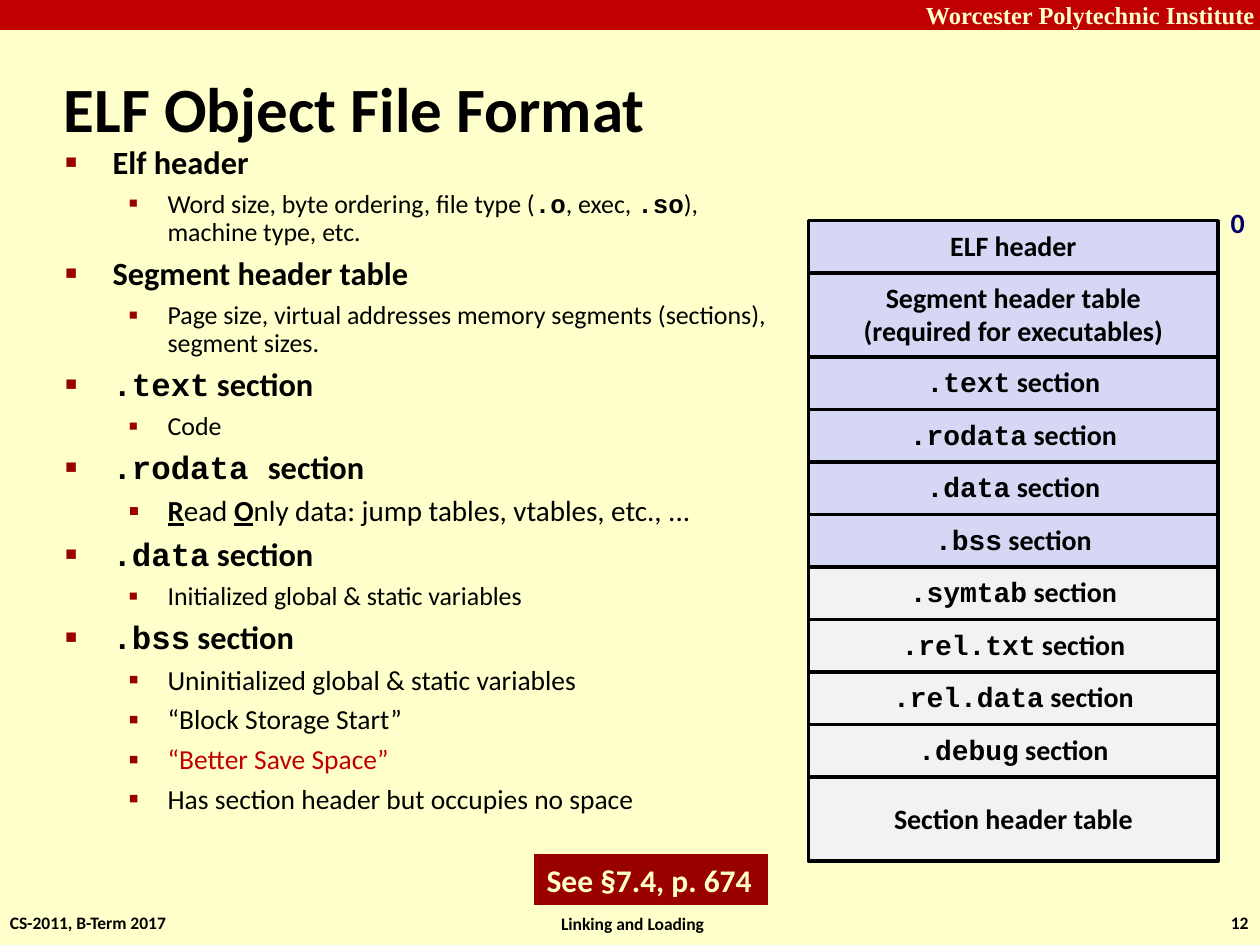
from dataclasses import dataclass

import lxml.etree
import pptx
import pptx.dml.color
import pptx.enum.shapes
import pptx.enum.text
import pptx.oxml.ns
import pptx.util

Cm = pptx.util.Cm
Pt = pptx.util.Pt
ALIGN = pptx.enum.text.PP_ALIGN
ANCHOR = pptx.enum.text.MSO_ANCHOR

COLORS = {
    "page": "FFFFCC",
    "banner": "C00000",
    "accent": "990000",
    "ink": "000000",
    "address": "000066",
    "loaded": "D6D6F5",
    "unloaded": "F2F2F2",
}
SANS, MONO, SERIF = "Calibri", "Courier New", "Times New Roman"


@dataclass(frozen=True)
class Span:
    words: str
    font: str = SANS
    bold: bool = False
    underline: bool = False


@dataclass(frozen=True)
class Point:
    spans: tuple[Span, ...]
    level: int = 1
    size: float = 14.8
    color: str = "ink"


@dataclass(frozen=True)
class Section:
    lines: tuple[tuple[Span, ...], ...]
    units: int
    fill: str
    spacing: float = 0.98


@dataclass(frozen=True)
class Label:
    words: str
    at: tuple[float, float, float, float]
    size: float
    color: str = "ink"
    font: str = SANS
    align: ALIGN = ALIGN.LEFT
    anchor: ANCHOR = ANCHOR.MIDDLE
    insets: tuple[float, float, float, float] = (0, 0, 0, 0)
    wrap: bool = False
    fill: str | None = None


def code_name(name: str, gap_font: str = SANS) -> tuple[Span, ...]:
    if gap_font == MONO:
        return Span(name + " ", MONO, True), Span("section", SANS, True)
    return Span(name, MONO, True), Span(" section", SANS, True)


def heading(*spans: Span) -> Point:
    return Point(spans, level=0, size=18.5)


def code_section(name: str, fill: str) -> Section:
    return Section((code_name(name),), 5, fill, 0.94)


LABELS = [
    Label("Worcester Polytechnic Institute", (0, 0, 25.4, 0.6), 14, "page", SERIF,
          ALIGN.RIGHT, insets=(0, 0, 0.1, 0), wrap=True, fill="banner"),
    Label("ELF Object File Format", (1.04, 1.07, 24.2, 2.18), 36,
          insets=(0.25, 0.13, 0.25, 0.13), wrap=True),
    Label("0", (24.56, 4.01, 0.8, 0.94), 16, "address",
          insets=(0.25, 0.13, 0.25, 0.13), anchor=ANCHOR.TOP),
    Label("CS-2011, B-Term 2017", (0.2, 18.39, 3.25, 0.43), 10),
    Label("Linking and Loading", (10.7, 18.39, 4, 0.43), 10, align=ALIGN.CENTER,
          anchor=ANCHOR.BOTTOM, insets=(0.1, 0, 0, 0)),
    Label("12", (24.74, 18.39, 0.43, 0.43), 10, align=ALIGN.RIGHT),
    Label("See §7.4, p. 674", (10.77, 17.22, 4.7, 1.02), 18, "page",
          insets=(0.25, 0.13, 0.25, 0.13), fill="accent"),
]

POINTS = [
    heading(Span("Elf header", bold=True)),
    Point((Span("Word size, byte ordering, file type ("), Span(".o", MONO, True),
           Span(", exec, "), Span(".so", MONO, True), Span("), machine type, etc."))),
    heading(Span("Segment header table", bold=True)),
    Point((Span("Page size, virtual addresses memory segments (sections), segment sizes."),)),
    heading(*code_name(".text")),
    Point((Span("Code"),)),
    heading(*code_name(".rodata", MONO)),
    Point((Span("R", bold=True, underline=True), Span("ead "),
           Span("O", bold=True, underline=True),
           Span("nly data: jump tables, vtables, etc., ...")), size=16.6),
    heading(*code_name(".data")),
    Point((Span("Initialized global & static variables"),)),
    heading(*code_name(".bss")),
    Point((Span("Uninitialized global & static variables"),), size=15.7),
    Point((Span("“Block Storage Start”"),), size=15.7),
    Point((Span("“Better Save Space”"),), size=15.7, color="banner"),
    Point((Span("Has section header but occupies no space"),), size=15.7),
]

SECTIONS = [
    Section(((Span("ELF header", bold=True),),), 5, "loaded"),
    Section(((Span("Segment header table", bold=True),),
             (Span("(required for executables)", bold=True),)), 8, "loaded"),
    *(code_section(name, "loaded") for name in (".text", ".rodata", ".data", ".bss")),
    *(code_section(name, "unloaded") for name in (".symtab", ".rel.txt", ".rel.data", ".debug")),
    Section(((Span("Section header table", bold=True),),), 8, "unloaded"),
]


def rgb(color: str) -> pptx.dml.color.RGBColor:
    return pptx.dml.color.RGBColor.from_string(COLORS[color])


def add_spans(paragraph, spans: tuple[Span, ...], size: float, color: str) -> None:
    for span in spans:
        run = paragraph.add_run()
        run.text = span.words
        run.font.name = span.font
        run.font.size = Pt(size)
        run.font.bold = span.bold
        run.font.underline = span.underline
        run.font.color.rgb = rgb(color)


def add_box(slide, at: tuple[float, float, float, float], fill: str,
            line: str, line_width: float):
    box = slide.shapes.add_shape(
        pptx.enum.shapes.MSO_SHAPE.RECTANGLE, *(Cm(length) for length in at))
    box.shadow.inherit = False
    box.fill.solid()
    box.fill.fore_color.rgb = rgb(fill)
    box.line.color.rgb = rgb(line)
    box.line.width = Pt(line_width)
    return box


def draw_label(slide, label: Label) -> None:
    if label.fill:
        holder = add_box(slide, label.at, label.fill, label.fill, 0.75)
    else:
        holder = slide.shapes.add_textbox(*(Cm(length) for length in label.at))
    frame = holder.text_frame
    frame.word_wrap = label.wrap
    frame.vertical_anchor = label.anchor
    (frame.margin_left, frame.margin_top,
     frame.margin_right, frame.margin_bottom) = (Cm(inset) for inset in label.insets)
    paragraph = frame.paragraphs[0]
    paragraph.alignment = label.align
    add_spans(paragraph, (Span(label.words, label.font, True),), label.size, label.color)


def add_bullet(paragraph, level: int) -> None:
    symbol, percent, margin, indent = (("■", 60, 0.95, -0.95), ("▪", 110, 2.06, -0.79))[level]
    properties = paragraph._p.get_or_add_pPr()
    properties.set("marL", str(Cm(margin)))
    properties.set("indent", str(Cm(indent)))
    qn = pptx.oxml.ns.qn
    bullet_color = lxml.etree.SubElement(properties, qn("a:buClr"))
    lxml.etree.SubElement(bullet_color, qn("a:srgbClr"), val=COLORS["accent"])
    lxml.etree.SubElement(properties, qn("a:buSzPct"), val=str(percent * 1000))
    lxml.etree.SubElement(properties, qn("a:buFont"), typeface=SERIF)
    lxml.etree.SubElement(properties, qn("a:buChar"), char=symbol)


def draw_outline(slide, points: list[Point]) -> None:
    frame = slide.shapes.add_textbox(Cm(1.07), Cm(2.82), Cm(14.86), Cm(14.96)).text_frame
    frame.word_wrap = True
    for index, point in enumerate(points):
        paragraph = frame.add_paragraph() if index else frame.paragraphs[0]
        paragraph.level = point.level
        add_bullet(paragraph, point.level)
        paragraph.line_spacing = 0.9
        paragraph.space_before = Pt((6, 5.6)[point.level] if index else 0)
        add_spans(paragraph, point.spans, point.size, point.color)


def draw_file_layout(slide, sections: list[Section]) -> None:
    top, total_height = 4.45, 12.91
    unit = total_height / sum(section.units for section in sections)
    for section in sections:
        height = section.units * unit
        box = add_box(slide, (16.3, top, 8.26, height), section.fill, "ink", 2)
        frame = box.text_frame
        frame.word_wrap = False
        frame.vertical_anchor = ANCHOR.MIDDLE
        for index, spans in enumerate(section.lines):
            paragraph = frame.add_paragraph() if index else frame.paragraphs[0]
            paragraph.alignment = ALIGN.CENTER
            paragraph.line_spacing = section.spacing
            add_spans(paragraph, spans, 16, "ink")
        top += height


def main() -> None:
    deck = pptx.Presentation()
    deck.slide_width, deck.slide_height = Cm(25.4), Cm(19.05)
    slide = deck.slides.add_slide(deck.slide_layouts[6])
    slide.background.fill.solid()
    slide.background.fill.fore_color.rgb = rgb("page")
    draw_outline(slide, POINTS)
    draw_file_layout(slide, SECTIONS)
    for label in LABELS:
        draw_label(slide, label)
    deck.save("out.pptx")


if __name__ == "__main__":
    main()
